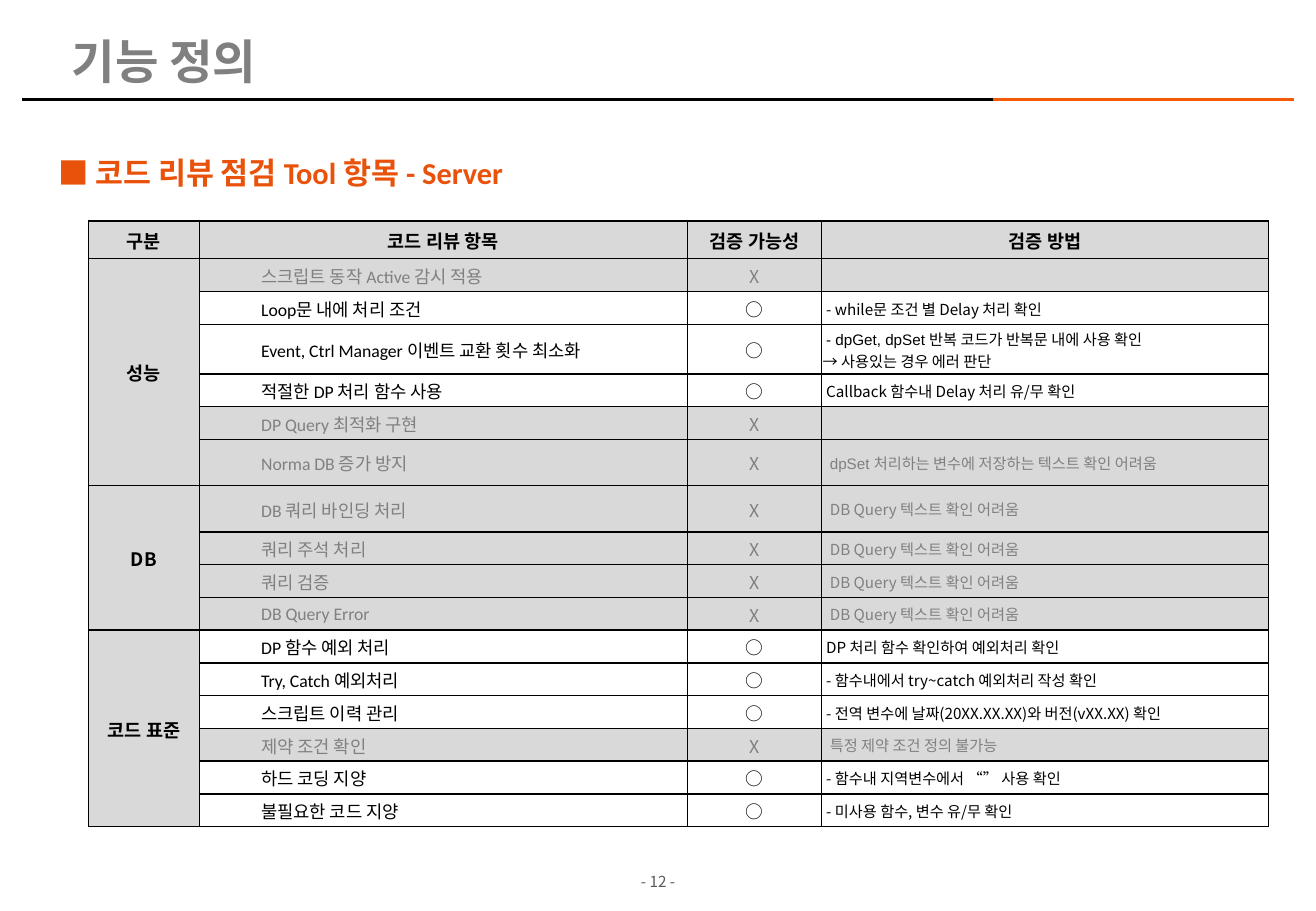
"""Build the slide that lists the server-side code review checks."""
from dataclasses import dataclass

from lxml import etree
from pptx import Presentation
from pptx import util as u
from pptx.dml.color import RGBColor
from pptx.enum import shapes, text
from pptx.oxml.ns import qn


@dataclass(frozen=True)
class Theme:
    black: str = "000000"
    white: str = "FFFFFF"
    muted: str = "808080"
    shade: str = "D9D9D9"
    footer: str = "595959"
    accent: str = "E9520B"
    rule: str = "F45A06"
    title_size: float = 28
    heading_size: float = 18
    label_size: float = 11
    item_size: float = 10.5
    small_size: float = 9
    rule_width: float = 2.25
    border_width: float = 1
    korean: str = "Noto Sans CJK KR"
    latin: str = "Calibri"
    code: str = "Arial"


HEADERS = ["구분", "코드 리뷰 항목", "검증 가능성", "검증 방법"]
COLUMNS = [91, 402, 110, 368]
HEADER_HEIGHT, ROW_HEIGHT = 31, 27
TALL_ROWS = {3: 41, 6: 38, 7: 38}
YES, NO = "○", "X"
UNCLEAR = "DB Query 텍스트 확인 어려움"
GROUPS = {
    "성능": [
        ("스크립트 동작 Active 감시 적용", NO, ""),
        ("Loop문 내에 처리 조건", YES, "- while문 조건 별 Delay 처리 확인"),
        ("Event, Ctrl Manager 이벤트 교환 횟수 최소화", YES,
         "- dpGet, dpSet 반복 코드가 반복문 내에 사용 확인\v→ 사용있는 경우 에러 판단"),
        ("적절한 DP 처리 함수 사용", YES, "Callback 함수내 Delay 처리 유/무 확인"),
        ("DP Query 최적화 구현", NO, ""),
        ("Norma DB 증가 방지", NO, "dpSet 처리하는 변수에 저장하는 텍스트 확인 어려움"),
    ],
    "DB": [
        ("DB 쿼리 바인딩 처리", NO, UNCLEAR),
        ("쿼리 주석 처리", NO, UNCLEAR),
        ("쿼리 검증", NO, UNCLEAR),
        ("DB Query Error", NO, UNCLEAR),
    ],
    "코드 표준": [
        ("DP 함수 예외 처리", YES, "DP 처리 함수 확인하여 예외처리 확인"),
        ("Try, Catch 예외처리", YES, "- 함수내에서 try~catch 예외처리 작성 확인"),
        ("스크립트 이력 관리", YES, "- 전역 변수에 날짜(20XX.XX.XX)와 버전(vXX.XX) 확인"),
        ("제약 조건 확인", NO, "특정 제약 조건 정의 불가능"),
        ("하드 코딩 지양", YES, "- 함수내 지역변수에서 “” 사용 확인"),
        ("불필요한 코드 지양", YES, "- 미사용 함수, 변수 유/무 확인"),
    ],
}


def px(length):
    """Turn px, 100 to the inch, into EMU."""
    return u.Emu(length * 9144)


class Painter:
    """Draws each kind of element on the current page in one theme."""

    def __init__(self, page, theme):
        self.page = page
        self.theme = theme

    def set_text(self, para, words, size, color, font=None, bold=False,
                 align=text.PP_ALIGN.LEFT, margin=0, indent=0):
        """Fill and format one paragraph."""
        para.text = words
        para.alignment = align
        para.font.size = u.Pt(size)
        para.font.bold = bold
        para.font.color.rgb = RGBColor.from_string(color)
        para.font.name = font or self.theme.korean
        props = para._p.get_or_add_pPr()
        props.set("marL", str(px(margin)))
        props.set("indent", str(px(indent)))
        etree.SubElement(props.find(qn("a:defRPr")), qn("a:ea"), typeface=self.theme.korean)

    def title(self, words, left, top, width, height):
        """Place the title placeholder."""
        box = self.page.shapes.title
        box.left, box.top, box.width, box.height = map(px, (left, top, width, height))
        frame = box.text_frame
        frame.auto_size = text.MSO_AUTO_SIZE.NONE
        frame.vertical_anchor = text.MSO_ANCHOR.MIDDLE
        para = frame.paragraphs[0]
        self.set_text(para, words, self.theme.title_size, self.theme.muted, self.theme.code, True)
        para.line_spacing = 0.9

    def label(self, words, left, top, width, height, size, color, spacing=1.0, **style):
        """Add a wrapped text box with one paragraph."""
        box = self.page.shapes.add_textbox(*map(px, (left, top, width, height)))
        box.text_frame.word_wrap = True
        para = box.text_frame.paragraphs[0]
        self.set_text(para, words, size, color, **style)
        para.line_spacing = spacing

    def rule(self, left, right, y, color):
        """Draw a horizontal line."""
        line = self.page.shapes.add_connector(
            shapes.MSO_CONNECTOR.STRAIGHT, px(left), px(y), px(right), px(y))
        line.line.color.rgb = RGBColor.from_string(color)
        line.line.width = u.Pt(self.theme.rule_width)
        etree.SubElement(line._element.spPr, qn("a:effectLst"))

    def cell(self, cell, words, fill, size, color, **style):
        """Border, fill and letter one table cell."""
        props = cell._tc.get_or_add_tcPr()
        for side in ("lnL", "lnR", "lnT", "lnB"):
            border = etree.SubElement(props, qn(f"a:{side}"), w=str(u.Pt(self.theme.border_width)))
            paint = etree.SubElement(border, qn("a:solidFill"))
            etree.SubElement(paint, qn("a:srgbClr"), val=self.theme.black)
        cell.fill.solid()
        cell.fill.fore_color.rgb = RGBColor.from_string(fill)
        cell.margin_left = cell.margin_right = cell.margin_top = px(1)
        cell.margin_bottom = 0
        cell.vertical_anchor = text.MSO_ANCHOR.MIDDLE
        self.set_text(cell.text_frame.paragraphs[0], words, size, color, **style)

    def checklist(self, left, top):
        """Add the review table with its merged group column."""
        theme, center = self.theme, text.PP_ALIGN.CENTER
        count = sum(map(len, GROUPS.values()))
        heights = [HEADER_HEIGHT] + [TALL_ROWS.get(n, ROW_HEIGHT) for n in range(1, count + 1)]
        table = self.page.shapes.add_table(
            len(heights), len(COLUMNS), *map(px, (left, top, sum(COLUMNS), sum(heights)))).table
        table.first_row = table.horz_banding = False
        for column, width in zip(table.columns, COLUMNS):
            column.width = px(width)
        for row, height in zip(table.rows, heights):
            row.height = px(height)
        heading = dict(fill=theme.shade, size=theme.label_size, color=theme.black,
                       bold=True, align=center)
        for column, words in enumerate(HEADERS):
            self.cell(table.cell(0, column), words, **heading)
        row = 1
        for group, checks in GROUPS.items():
            first = row
            for item, verdict, method in checks:
                possible = verdict == YES
                look = dict(fill=theme.white if possible else theme.shade,
                            color=theme.black if possible else theme.muted)
                self.cell(table.cell(row, 0), group if row == first else "", **heading)
                self.cell(table.cell(row, 1), item, size=theme.item_size,
                          font=theme.latin, margin=50, **look)
                self.cell(table.cell(row, 2), verdict, size=theme.item_size, align=center, **look)
                self.cell(table.cell(row, 3), method, size=theme.small_size,
                          font=theme.code if "dpSet" in method else theme.korean,
                          indent=3 if possible else 6, **look)
                row += 1
            table.cell(first, 0).merge(table.cell(row - 1, 0))


def main():
    """Build and save the deck."""
    deck = Presentation()
    deck.slide_width, deck.slide_height = px(1083), px(750)
    theme = Theme()
    painter = Painter(deck.slides.add_slide(deck.slide_layouts[5]), theme)
    painter.label("- 12 -", 502, 713, 79, 28, theme.small_size, theme.footer,
                  align=text.PP_ALIGN.CENTER)
    painter.rule(18, 1002, 82, theme.black)
    painter.rule(817, 1065, 82, theme.rule)
    painter.label("■ 코드 리뷰 점검 Tool 항목 - Server", 38, 107, 1022, 56, theme.heading_size,
                  theme.accent, spacing=1.5, font=theme.latin, bold=True)
    painter.title("기능 정의", 49, 25, 750, 55)
    painter.checklist(73, 182)
    deck.save("out.pptx")


if __name__ == "__main__":
    main()
